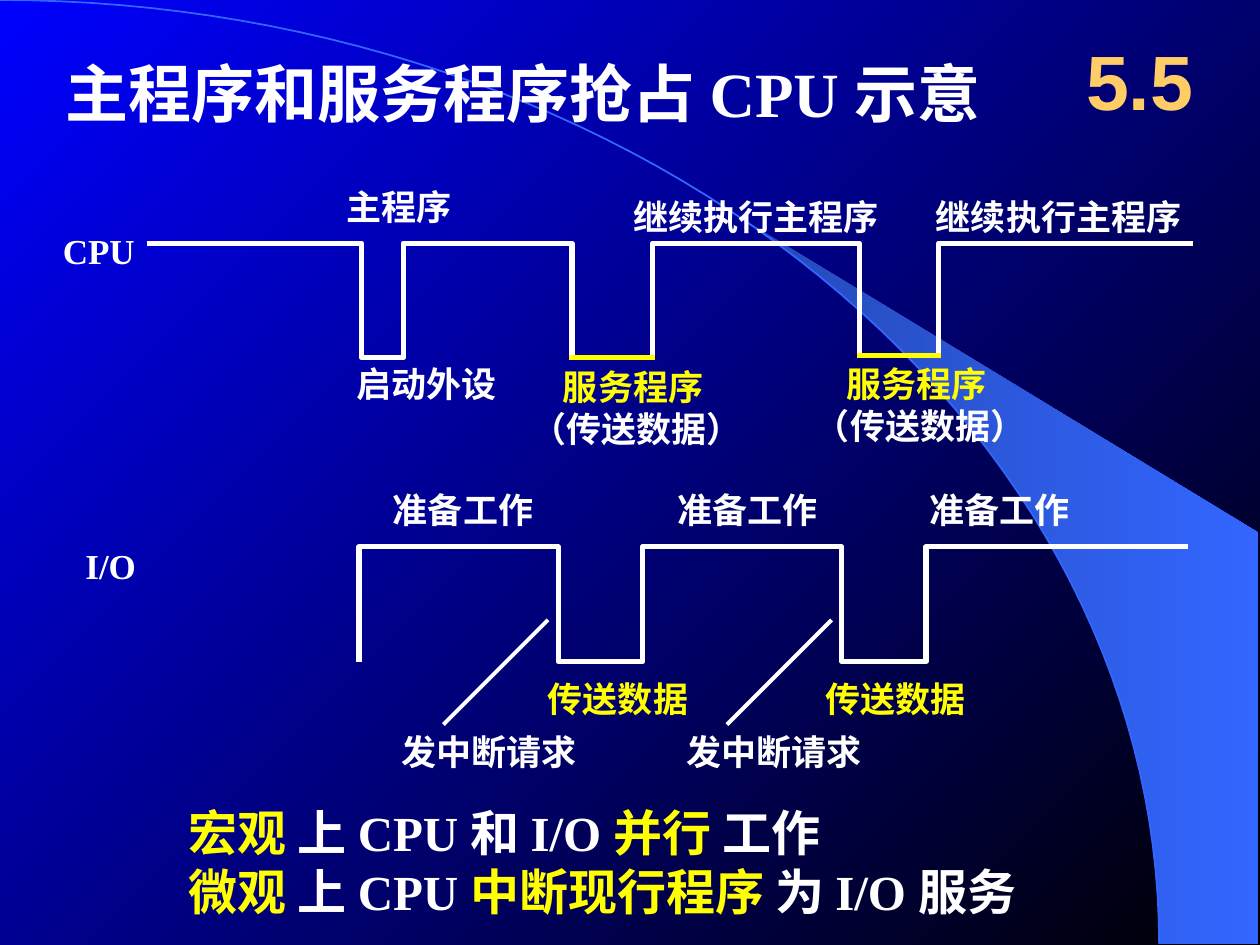
from math import asin, cos, pi, sin

from lxml import etree
from pptx import Presentation
from pptx.dml.color import RGBColor
from pptx.enum.shapes import MSO_CONNECTOR
from pptx.enum.text import MSO_ANCHOR, PP_ALIGN
from pptx.oxml.ns import qn
from pptx.util import Inches, Pt

STRAIGHT = MSO_CONNECTOR.STRAIGHT
LEFT, CENTER = PP_ALIGN.LEFT, PP_ALIGN.CENTER
TOP, MIDDLE = MSO_ANCHOR.TOP, MSO_ANCHOR.MIDDLE
WHITE, YELLOW, GOLD = "FFFFFF", "FFFF00", "FFCC66"
SKY, NAVY, BLUE, BLACK = "3366FF", "2449B6", "0000FF", "000000"
ARC_W, ARC_H = 9.2, 7.49


def rgb(value):
    return RGBColor.from_string(value)


def set_gradient(fill, start, end, angle):
    """Fill with two stops; the angle runs counter-clockwise."""
    fill.gradient()
    fill.gradient_angle = angle
    for stop, color, position in zip(fill.gradient_stops, (start, end), (0, 1)):
        stop.color.rgb = rgb(color)
        stop.position = position


def arc_points(start, steps=60):
    """Points on the quarter ellipse from the angle start to its right end."""
    angles = [start + (pi / 2 - start) * i / steps for i in range(steps + 1)]
    return [(ARC_W * sin(a), ARC_H * (1 - cos(a))) for a in angles]


class SlideBuilder:
    def __init__(self, slide, font="Times New Roman"):
        self.s = slide
        self.font = font

    def text(self, x, y, w, h, paragraphs, size=20, font=None, wrap=False,
             align=LEFT, anchor=TOP, first_indent=0):
        """Each paragraph is a list of (text, colour) runs."""
        tf = self.s.shapes.add_textbox(*map(Inches, (x, y, w, h))).text_frame
        tf.word_wrap = wrap
        tf.vertical_anchor = anchor
        for i, runs in enumerate(paragraphs):
            p = tf.add_paragraph() if i else tf.paragraphs[0]
            p.alignment = align
            if first_indent and i == 0:
                p._p.get_or_add_pPr().set("marL", str(Inches(first_indent)))
            for words, color in runs:
                r = p.add_run()
                r.text = words
                style = {"name": font or self.font, "size": Pt(size), "bold": True}
                for key, value in style.items():
                    setattr(r.font, key, value)
                r.font.color.rgb = rgb(color)

    def label(self, x, y, w, words, color=WHITE):
        self.text(x, y, w, 0.43, [[(words, color)]])

    def freeform(self, points, closed=False):
        (x, y), *rest = [(Inches(px), Inches(py)) for px, py in points]
        builder = self.s.shapes.build_freeform(x, y)
        builder.add_line_segments(rest, close=closed)
        sp = builder.convert_to_shape()
        sp.shadow.inherit = False
        return sp

    def polyline(self, points, color=WHITE, width=3):
        sp = self.freeform(points)
        sp.fill.background()
        sp.line.color.rgb = rgb(color)
        sp.line.width = Pt(width)

    def wedge(self, points):
        sp = self.freeform(points, closed=True)
        set_gradient(sp.fill, NAVY, SKY, 0)
        sp.line.fill.background()

    def line(self, x1, y1, x2, y2, color=WHITE, width=3):
        c = self.s.shapes.add_connector(STRAIGHT, *map(Inches, (x1, y1, x2, y2)))
        c.line.color.rgb = rgb(color)
        c.line.width = Pt(width)
        etree.SubElement(c._element.spPr, qn("a:effectLst"))


def draw_backdrop(b):
    set_gradient(b.s.background.fill, BLUE, BLACK, 315)
    b.wedge([(9.99, 7.49), (9.99, 4.23)] + arc_points(asin(5.89 / ARC_W)))
    b.polyline(arc_points(0), SKY, 1)


def draw_io(b):
    high, low, period = 4.34, 5.25, 2.25
    wave = []
    for i in range(3):
        rise = 2.85 + i * period
        fall = rise + 1.58 if i < 2 else 9.43
        wave += [(rise, low), (rise, high), (fall, high)]
        if i < 2:
            wave.append((fall, low))
    b.polyline(wave)
    for x in (3.02, 5.28, 7.28):
        b.label(x, 3.83, 1.32, "准备工作")
    for x in (4.25, 6.45):
        b.label(x, 5.33, 1.31, "传送数据", YELLOW)
    for x in (3.09, 5.35):
        b.label(x, 5.75, 1.6, "发中断请求")
    for i in range(2):
        x = 3.52 + i * period
        b.line(x, 5.75, x + 0.83, 4.92, width=2.25)
    b.label(0.58, 4.27, 0.6, "I/O")


def draw_cpu(b):
    high = 1.93
    dips = [(2.87, 3.2, 2.84), (4.54, 5.18, 2.84), (6.82, 7.45, 2.82)]
    wave = [(1.17, high)]
    for left, right, low in dips:
        wave += [(left, high), (left, low), (right, low), (right, high)]
    b.polyline(wave + [(9.47, high)])
    b.label(0.4, 1.77, 0.77, "CPU")
    b.label(2.65, 1.42, 1.04, "主程序")
    b.label(2.73, 2.83, 1.32, "启动外设")
    for x in (4.93, 7.33):
        b.label(x, 1.5, 2.16, "继续执行主程序")
    service = [[("服务程序", YELLOW)], [("（传送数据）", WHITE)]]
    for x, (left, right, low) in zip((4.12, 6.37), dips[1:]):
        b.text(x, low + 0.01, 1.87, 0.77, service, first_indent=0.25)
        b.line(left - 0.02, low, right + 0.02, low, YELLOW)


def main():
    prs = Presentation()
    prs.slide_width, prs.slide_height = Inches(10), Inches(7.5)
    b = SlideBuilder(prs.slides.add_slide(prs.slide_layouts[6]))
    draw_backdrop(b)
    b.text(0.42, 0.38, 7.5, 0.7, [[("主程序和服务程序抢占 CPU 示意", WHITE)]],
           size=36, wrap=True)
    draw_io(b)
    b.text(1.4, 6.32, 8.02, 1.03, [
        [("宏观 ", YELLOW), ("上 CPU 和 I/O ", WHITE),
         ("并行 ", YELLOW), ("工作", WHITE)],
        [("微观 ", YELLOW), ("上 CPU ", WHITE),
         ("中断现行程序 ", YELLOW), ("为 I/O 服务", WHITE)],
    ], size=28, wrap=True)
    draw_cpu(b)
    b.text(8.42, 0.17, 1.25, 0.92, [[("5.5", GOLD)]], size=44, font="Arial",
           wrap=True, align=CENTER, anchor=MIDDLE)
    prs.save("out.pptx")


if __name__ == "__main__":
    main()
